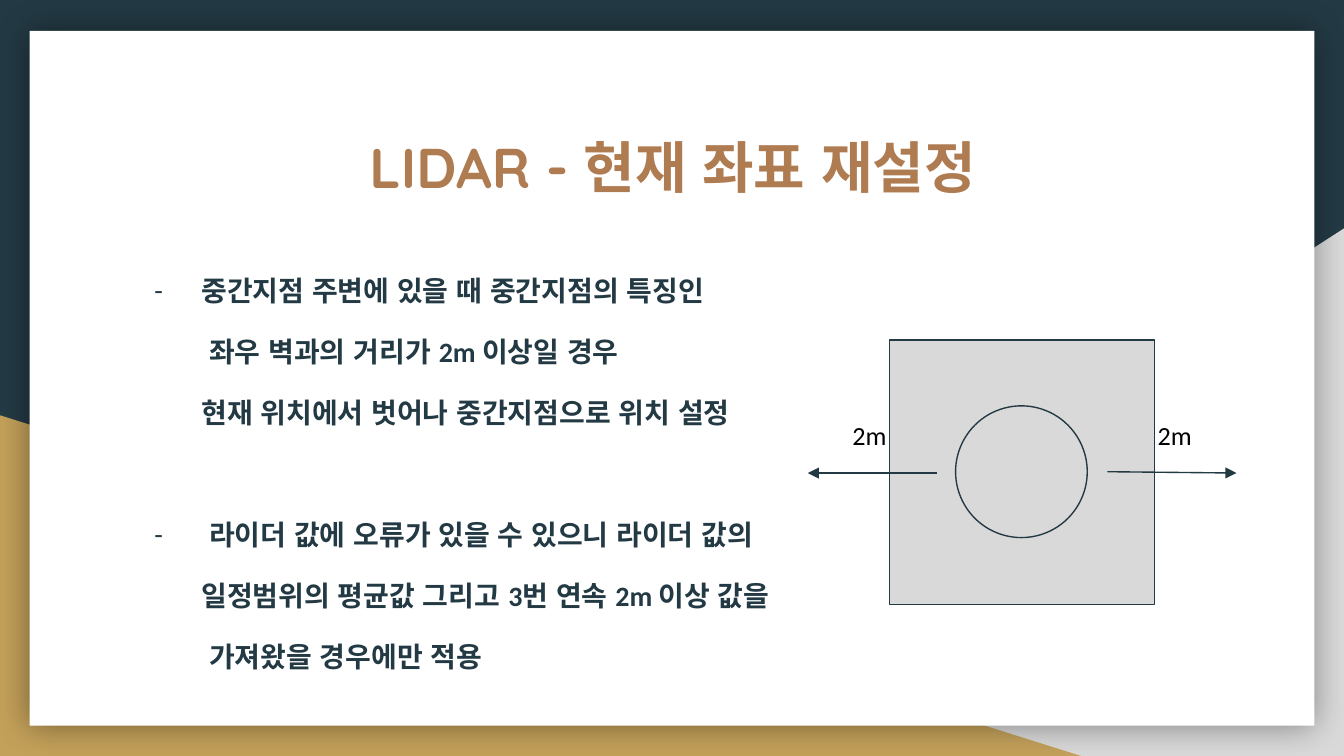
from dataclasses import dataclass

from lxml.etree import SubElement
from pptx import Presentation
from pptx.dml.color import RGBColor
from pptx.enum.shapes import MSO_CONNECTOR, MSO_SHAPE
from pptx.enum.text import MSO_ANCHOR, MSO_AUTO_SIZE, PP_ALIGN
from pptx.oxml.ns import qn
from pptx.util import Inches, Pt


@dataclass(frozen=True)
class Theme:
    navy: RGBColor = RGBColor.from_string("233A44")
    gold: RGBColor = RGBColor.from_string("C4A15A")
    grey: RGBColor = RGBColor.from_string("D9D9D9")
    white: RGBColor = RGBColor.from_string("FFFFFF")
    brown: RGBColor = RGBColor.from_string("AF7B51")
    black: RGBColor = RGBColor.from_string("000000")
    heading_font: str = "Quicksand"
    text_font: str = "Calibri"
    hangul_font: str = "Quicksand"
    title_size: Pt = Pt(30)
    body_size: Pt = Pt(15)
    label_size: Pt = Pt(14)
    line_width: Pt = Pt(0.75)


THEME = Theme()
SLIDE_WIDTH = 10
SLIDE_HEIGHT = SLIDE_WIDTH * 9 / 16
TITLE_FORMAT = {"alignment": PP_ALIGN.CENTER, "line_spacing": 0.95, "space_after": Pt(12)}
LABEL_FORMAT = {"alignment": PP_ALIGN.CENTER}
BODY_FORMAT = {"line_spacing": 1.15}
LINE_GAP = Pt(12)
GROUP_GAP = Pt(44.7)
CONDITIONS = [
    ("중간지점 주변에 있을 때 중간지점의 특징인", "-", 0.5, -0.35, Pt(0)),
    (" 좌우 벽과의 거리가 2m 이상일 경우", None, 0.5, 0, LINE_GAP),
    ("현재 위치에서 벗어나 중간지점으로 위치 설정", None, 0.5, 0, LINE_GAP),
    (" 라이더 값에 오류가 있을 수 있으니 라이더 값의", "-", 0.5, -0.35, GROUP_GAP),
    ("일정범위의 평균값 그리고 3번 연속 2m 이상 값을", None, 0.5, 0, LINE_GAP),
    (" 가져왔을 경우에만 적용", None, 0, 0.5, LINE_GAP),
]


def apply_format(target, values):
    for name, value in values.items():
        setattr(target, name, value)


def add_figure(slide, preset, box, fill, outline=None):
    figure = slide.shapes.add_shape(preset, *map(Inches, box))
    figure.shadow.inherit = False
    figure.fill.solid()
    figure.fill.fore_color.rgb = fill
    if outline is None:
        figure.line.fill.background()
    else:
        figure.line.color.rgb = outline
        figure.line.width = THEME.line_width
    return figure


def add_glow(figure):
    effects = figure._element.spPr.find(qn("a:effectLst"))
    glow = SubElement(effects, qn("a:outerShdw"), blurRad=str(Pt(18)), dist="0", dir="0",
                      algn="ctr", rotWithShape="0")
    tint = SubElement(glow, qn("a:srgbClr"), val=str(THEME.black))
    SubElement(tint, qn("a:alpha"), val="40000")


def add_text_frame(slide, box, auto_size=MSO_AUTO_SIZE.NONE):
    frame = slide.shapes.add_textbox(*map(Inches, box)).text_frame
    margins = {f"margin_{side}": Inches(0.1) for side in ("left", "right", "top", "bottom")}
    apply_format(frame, {"word_wrap": True, "auto_size": auto_size,
                         "vertical_anchor": MSO_ANCHOR.TOP, **margins})
    return frame


def write_text(paragraph, text, font_name, size, color, bold, layout):
    run = paragraph.add_run()
    run.text = text
    apply_format(run.font, {"name": font_name, "size": size, "bold": bold})
    run.font.color.rgb = color
    SubElement(run.font._element, qn("a:ea"), typeface=THEME.hangul_font)
    apply_format(paragraph, layout)


def set_indent(paragraph, left, first_line, bullet):
    properties = paragraph._p.get_or_add_pPr()
    properties.set("marL", str(Inches(left)))
    properties.set("indent", str(Inches(first_line)))
    if bullet:
        color = SubElement(properties, qn("a:buClr"))
        SubElement(color, qn("a:srgbClr"), val=str(THEME.navy))
        SubElement(properties, qn("a:buFont"), typeface=THEME.text_font)
        SubElement(properties, qn("a:buChar"), char=bullet)
    else:
        SubElement(properties, qn("a:buNone"))


def add_backdrop(slide):
    slide.background.fill.solid()
    slide.background.fill.fore_color.rgb = THEME.navy
    grey_corner = add_figure(slide, MSO_SHAPE.RIGHT_TRIANGLE, (3.92, 1.7, 6.08, 3.93), THEME.grey)
    grey_corner._element.spPr.xfrm.set("flipH", "1")
    add_figure(slide, MSO_SHAPE.RIGHT_TRIANGLE, (0, 3.09, 8.06, 2.54), THEME.gold)
    add_glow(add_figure(slide, MSO_SHAPE.RECTANGLE, (0.22, 0.23, 9.56, 5.17), THEME.white))


def add_title(slide):
    frame = add_text_frame(slide, (0.9, 0.92, 8.21, 1.04))
    write_text(frame.paragraphs[0], "LIDAR - 현재 좌표 재설정", THEME.heading_font,
               THEME.title_size, THEME.brown, True, TITLE_FORMAT)


def add_conditions(slide):
    frame = add_text_frame(slide, (0.9, 1.9, 8.21, 2.68))
    for index, (text, bullet, left, first_line, gap) in enumerate(CONDITIONS):
        paragraph = frame.add_paragraph() if index else frame.paragraphs[0]
        set_indent(paragraph, left, first_line, bullet)
        write_text(paragraph, text, THEME.text_font, THEME.body_size, THEME.navy, True,
                   {**BODY_FORMAT, "space_before": gap})


def add_arrow(slide, start, end):
    arrow = slide.shapes.add_connector(MSO_CONNECTOR.STRAIGHT, *map(Inches, (*start, *end)))
    arrow.line.color.rgb = THEME.navy
    arrow.line.width = THEME.line_width
    SubElement(arrow.line._get_or_add_ln(), qn("a:tailEnd"), type="triangle")
    SubElement(arrow._element.spPr, qn("a:effectLst"))


def add_distance_label(slide, left):
    frame = add_text_frame(slide, (left, 3.02, 1, 0.44), MSO_AUTO_SIZE.SHAPE_TO_FIT_TEXT)
    write_text(frame.paragraphs[0], "2m", THEME.text_font, THEME.label_size,
               THEME.black, False, LABEL_FORMAT)


def add_robot_diagram(slide):
    add_figure(slide, MSO_SHAPE.RECTANGLE, (6.62, 2.53, 1.97, 1.97), THEME.grey, THEME.navy)
    add_figure(slide, MSO_SHAPE.OVAL, (7.11, 3.02, 0.98, 0.98), THEME.grey, THEME.navy)
    add_arrow(slide, (6.97, 3.52), (6.01, 3.52))
    add_arrow(slide, (8.24, 3.51), (9.2, 3.52))
    for left in (5.97, 8.24):
        add_distance_label(slide, left)


def main():
    deck = Presentation()
    apply_format(deck, {"slide_width": Inches(SLIDE_WIDTH), "slide_height": Inches(SLIDE_HEIGHT)})
    slide = deck.slides.add_slide(deck.slide_layouts[6])
    add_backdrop(slide)
    add_title(slide)
    add_conditions(slide)
    add_robot_diagram(slide)
    deck.save("out.pptx")


if __name__ == "__main__":
    main()
